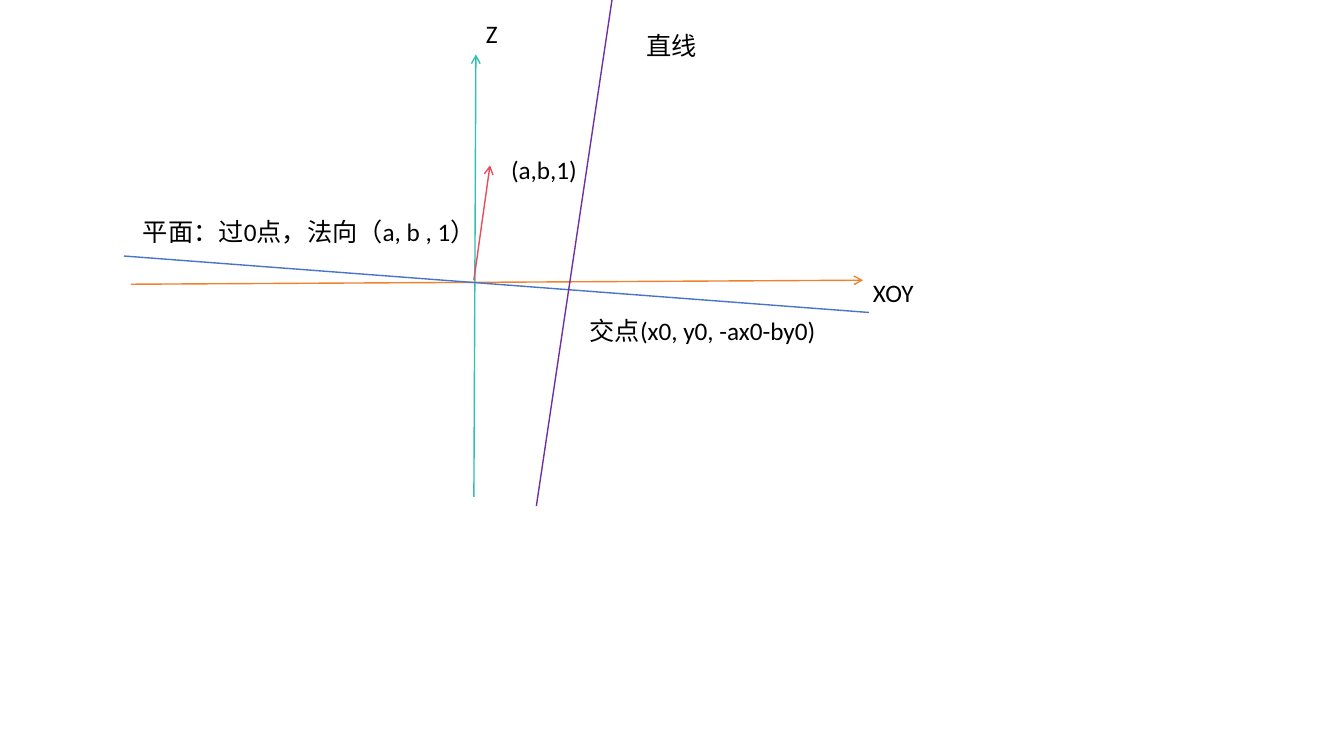
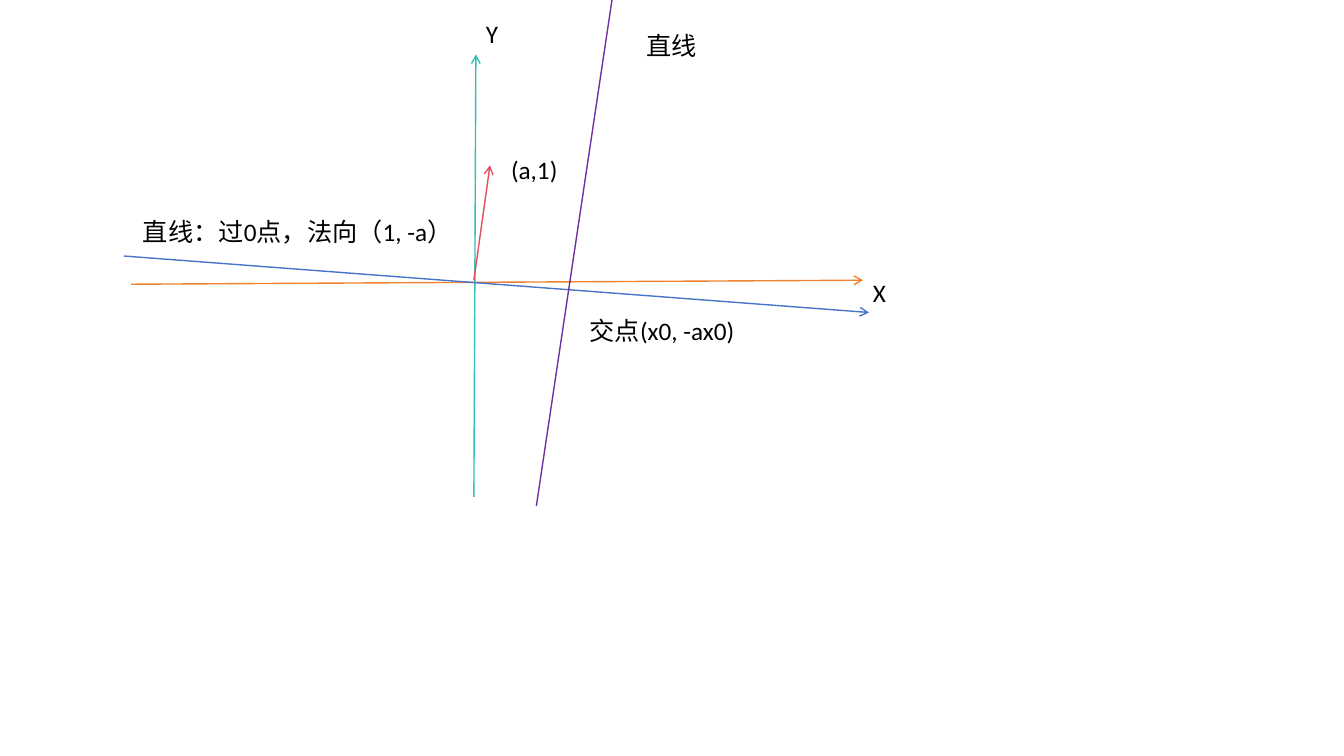
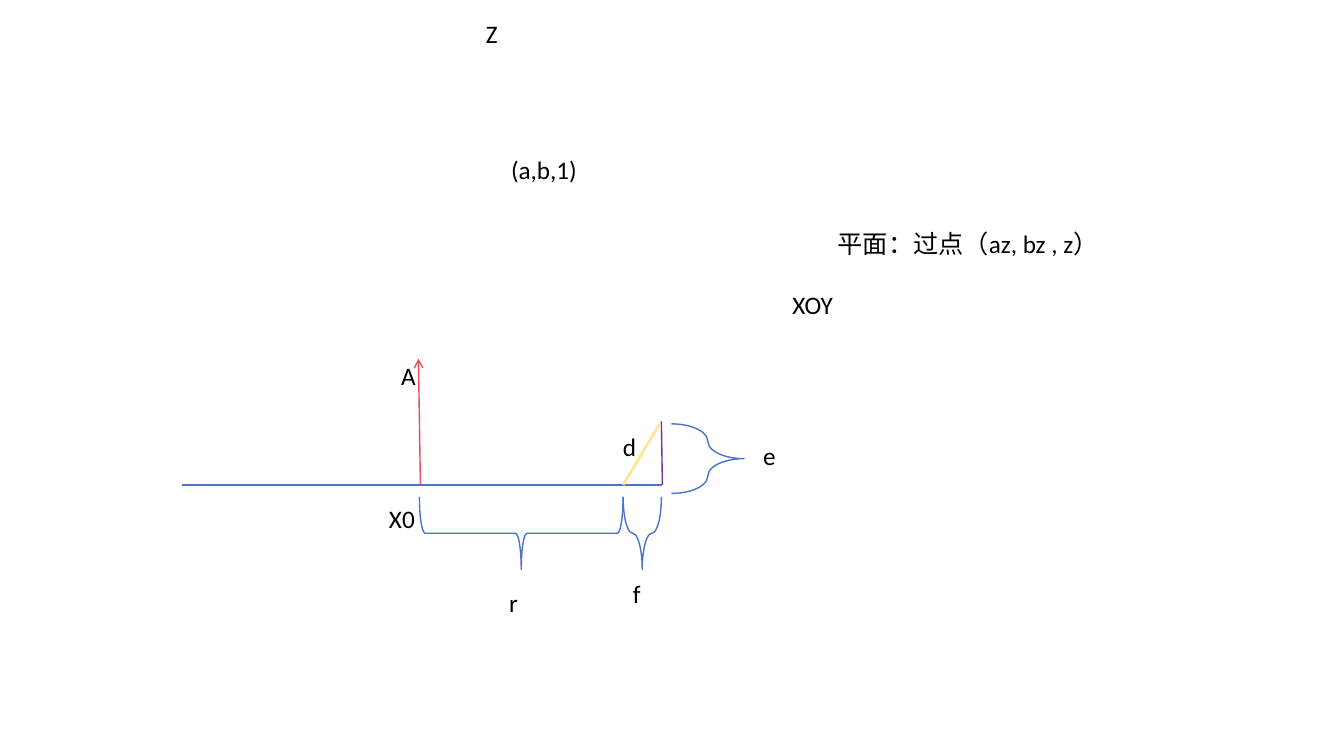
from lxml import etree
from pptx import Presentation
from pptx.dml.color import RGBColor
from pptx.enum.shapes import MSO_CONNECTOR, MSO_SHAPE
from pptx.enum.text import MSO_AUTO_SIZE
from pptx.oxml.ns import qn
from pptx.util import Inches, Pt

STRAIGHT = MSO_CONNECTOR.STRAIGHT
LEFT_BRACE = MSO_SHAPE.LEFT_BRACE
FIT_SHAPE = MSO_AUTO_SIZE.SHAPE_TO_FIT_TEXT

COLOURS = {
    "text": "000000",
    "vertical": "30C0B4",
    "horizontal": "EE822F",
    "plane": "4874CB",
    "normal": "E54C5E",
    "line": "7030A0",
    "slope": "FEE695",
}
FONT = "Calibri"
TEXT_SIZE = 18

# The grid has square cells of one inch
CELL = Inches(1)
COLUMNS, ROWS = 13.33, 7.5
LABEL_HEIGHT = 0.4
BRACE_DEPTH = 0.72

# Places shared by the drawings
ORIGIN = (4.7, 2.78)
VERTICAL_LABEL = (4.72, 0.13, 0.67)
NORMAL_LABEL = (4.97, 1.48, 0.92)


def cells(*numbers):
    return [round(number * CELL) for number in numbers]


def paint(line, colour, width):
    line.color.rgb = RGBColor.from_string(COLOURS[colour])
    line.width = Pt(width)


def add_line(page, start, end, colour, width=1, arrow=False):
    connector = page.shapes.add_connector(STRAIGHT, *cells(*start, *end))
    paint(connector.line, colour, width)
    properties = connector._element.spPr
    if arrow:
        outline = properties.find(qn("a:ln"))
        etree.SubElement(outline, qn("a:tailEnd"), type="arrow")
    etree.SubElement(properties, qn("a:effectLst"))


def add_label(page, text, place, size=TEXT_SIZE, colour="text"):
    left, top, width = place
    box = page.shapes.add_textbox(*cells(left, top, width, LABEL_HEIGHT))
    frame = box.text_frame
    frame.word_wrap = True
    frame.auto_size = FIT_SHAPE
    span = frame.paragraphs[0].add_run()
    span.text = text
    span.font.name = FONT
    span.font.size = Pt(size)
    span.font.color.rgb = RGBColor.from_string(COLOURS[colour])


def add_brace(page, centre, length, rotation, bend):
    """Draw a brace whose upright frame is turned about its centre."""
    left, top = centre[0] - BRACE_DEPTH / 2, centre[1] - length / 2
    brace = page.shapes.add_shape(
        LEFT_BRACE, *cells(left, top, BRACE_DEPTH, length))
    brace.rotation = rotation
    brace.adjustments[0] = bend
    brace.shadow.inherit = False
    brace.fill.background()
    paint(brace.line, "plane", 1)


def add_page(deck):
    return deck.slides.add_slide(deck.slide_layouts[6])


def build_intersection(deck, axes, plane, normal, crossing, plane_arrow=False):
    """Axes, a plane through the origin, its normal and a crossing line."""
    page = add_page(deck)
    vertical_name, horizontal_name = axes
    add_line(page, (4.7, 4.93), (4.72, 0.54), "vertical", arrow=True)
    add_line(page, (1.3, 2.82), (8.56, 2.78), "horizontal", arrow=True)
    add_line(page, (1.23, 2.54), (8.62, 3.1), "plane", arrow=plane_arrow)
    add_line(page, ORIGIN, (4.86, 1.64), "normal", arrow=True)
    add_line(page, (5.32, 5.02), (6.07, 0), "line")

    # The horizontal name stands beyond the ends of the axis and the plane
    add_label(page, vertical_name, VERTICAL_LABEL)
    add_label(page, horizontal_name, (8.56, 2.7, 0.8))
    add_label(page, plane, (1.32, 2.1, 4.44))
    add_label(page, normal, NORMAL_LABEL)
    add_label(page, crossing, (5.75, 3.08, 4.44))
    add_label(page, "直线", (6.31, 0.25, 1.17))


def build_distances(deck):
    """Distances along a plane, marked with braces."""
    page = add_page(deck)
    base, foot, bend, edge = 4.81, 4.16, 6.18, 6.56

    # Plane, normal and triangle
    add_line(page, (1.81, base), (6.57, base), "plane")
    add_line(page, (4.17, base), (4.15, 3.56), "normal", arrow=True)
    add_line(page, (6.57, base), (edge, 4.18), "line")
    add_line(page, (bend, base), (6.54, 4.21), "slope", width=2)

    # Braces below the plane and beside the triangle
    for start, end, curve in ((foot, bend, 0.08), (bend, edge, 0.25)):
        add_brace(page, ((start + end) / 2, 5.29), end - start, 270, curve)
    add_brace(page, (7.02, 4.55), 0.69, 180, 0.25)

    for text, place in (
        ("Z", VERTICAL_LABEL),
        ("XOY", (7.76, 2.82, 0.8)),
        ("平面：过点（az, bz , z）", (8.21, 2.22, 4.44)),
        ("(a,b,1)", NORMAL_LABEL),
        ("A", (3.88, 3.53, 0.7)),
        ("X0", (3.76, 4.94, 4.44)),
        ("r", (4.95, 5.78, 0.95)),
        ("f", (6.18, 5.69, 0.94)),
        ("e", (7.47, 4.32, 0.58)),
        ("d", (6.08, 4.23, 0.58)),
    ):
        add_label(page, text, place)


def main():
    deck = Presentation()
    deck.slide_width, deck.slide_height = cells(COLUMNS, ROWS)
    build_intersection(
        deck, ("Z", "XOY"), "平面：过0点，法向（a, b , 1）",
        "(a,b,1)", "交点(x0, y0, -ax0-by0)")
    build_intersection(
        deck, ("Y", "X"), "直线：过0点，法向（1, -a）",
        "(a,1)", "交点(x0, -ax0)", plane_arrow=True)
    build_distances(deck)
    deck.save("out.pptx")


if __name__ == "__main__":
    main()
